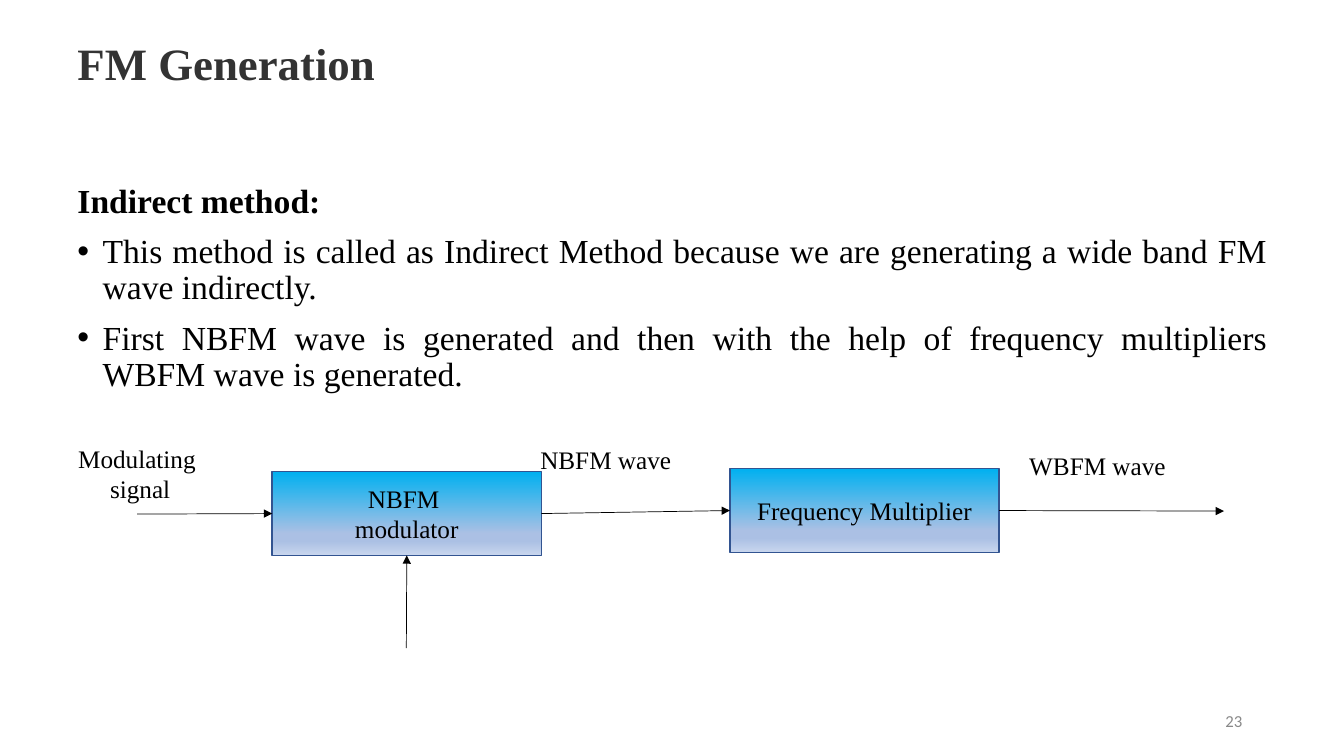
from pptx import Presentation
from pptx import util as u
from pptx.dml.color import RGBColor
from pptx.enum import shapes, text
from pptx.oxml import parse_xml
from pptx.oxml.ns import nsdecls, qn

SERIF = "Times New Roman"
STOPS = [(0, "00B0F0"), (74, "ABC0E4"), (83, "ABC0E4"), (100, "C7D5ED")]
LEFT, MID, RIGHT, JUST = (text.PP_ALIGN.LEFT, text.PP_ALIGN.CENTER,
                          text.PP_ALIGN.RIGHT, text.PP_ALIGN.JUSTIFY)


def color(code):
    return RGBColor.from_string(code)


def write(par, words, size=18, font=SERIF, ink="000000", bold=False,
          align=LEFT, lead=None, gap=0, bullet=False):
    if bullet:
        props = par._p.get_or_add_pPr()
        props.set("marL", str(u.Inches(0.25)))
        props.set("indent", str(u.Inches(-0.25)))
        for tag in ('buFont {} typeface="Arial"', 'buChar {} char="•"'):
            props.append(parse_xml(f"<a:{tag.format(nsdecls('a'))}/>"))
    par.alignment = align
    par.space_before = u.Pt(gap)
    if lead:
        par.line_spacing = lead
    run = par.add_run()
    run.text = words
    run.font.size = u.Pt(size)
    run.font.name = font
    run.font.bold = bold
    run.font.color.rgb = color(ink)


class Sketch:
    def __init__(self, slide, edge="325491", wire="000000"):
        self.items = slide.shapes
        self.edge = edge
        self.wire = wire

    def fill_text(self, frame, lines, **style):
        for i, line in enumerate(lines):
            par = frame.paragraphs[0] if i == 0 else frame.add_paragraph()
            write(par, line, **style)

    def text(self, x, y, w, h, lines=(), wrap=True, middle=False, **style):
        frame = self.items.add_textbox(*map(u.Inches, (x, y, w, h))).text_frame
        frame.word_wrap = wrap
        if not wrap:
            frame.auto_size = text.MSO_AUTO_SIZE.SHAPE_TO_FIT_TEXT
        if middle:
            frame.vertical_anchor = text.MSO_ANCHOR.MIDDLE
        self.fill_text(frame, lines, **style)
        return frame

    def block(self, x, y, lines):
        box = self.items.add_shape(shapes.MSO_SHAPE.RECTANGLE,
                                   *map(u.Inches, (x, y, 2.67, 0.83)))
        box.shadow.inherit = False
        box.fill.gradient()
        box.fill.gradient_angle = 270
        stops = box._element.spPr.find(qn("a:gradFill")).find(qn("a:gsLst"))
        for stop in list(stops):
            stops.remove(stop)
        for pos, code in STOPS:
            stops.append(parse_xml(
                f'<a:gs {nsdecls("a")} pos="{pos * 1000}"><a:srgbClr val="{code}"/></a:gs>'))
        box.line.color.rgb = color(self.edge)
        box.line.width = u.Pt(1)
        frame = box.text_frame
        frame.word_wrap = True
        frame.vertical_anchor = text.MSO_ANCHOR.MIDDLE
        self.fill_text(frame, lines, align=MID)
        return box

    def arrow(self, start, end, tail=None, head=None):
        line = self.items.add_connector(shapes.MSO_CONNECTOR.STRAIGHT,
                                        *map(u.Inches, start + end))
        if tail:
            line.begin_connect(*tail)
        if head:
            line.end_connect(*head)
        line.line.color.rgb = color(self.wire)
        line.line.width = u.Pt(0.5)
        line.line._get_or_add_ln().append(
            parse_xml(f'<a:tailEnd {nsdecls("a")} type="triangle"/>'))
        line._element.spPr.append(parse_xml(f'<a:effectLst {nsdecls("a")}/>'))


def main():
    deck = Presentation()
    deck.slide_width, deck.slide_height = u.Inches(13.33), u.Inches(7.5)
    page = Sketch(deck.slides.add_slide(deck.slide_layouts[6]))

    page.text(0.67, 0.4, 12, 0.5, ["FM Generation"], middle=True,
              size=32, ink="333333", bold=True, lead=0.9)
    body = page.text(0.67, 1.78, 12, 4.95, ["Indirect method:"],
                     size=24, bold=True, lead=0.9)
    for point in (
        "This method is called as Indirect Method because we are generating "
        "a wide band FM wave indirectly.",
        "First NBFM wave is generated and then with the help of frequency "
        "multipliers WBFM wave is generated.",
    ):
        write(body.add_paragraph(), point, size=24, align=JUST,
              lead=0.9, gap=10, bullet=True)
    page.text(9.42, 6.95, 3, 0.4, ["23"], middle=True, size=12,
              font="Calibri", ink="898989", align=RIGHT)

    mod = page.block(2.7, 4.68, ["NBFM ", "modulator"])
    mult = page.block(7.24, 4.65, ["Frequency Multiplier"])
    page.arrow((1.36, 5.1), (2.7, 5.1), head=(mod, 1))
    page.arrow((4.03, 6.43), (4.03, 5.51), head=(mod, 2))
    page.arrow((5.37, 5.1), (7.24, 5.07), tail=(mod, 3), head=(mult, 1))
    page.arrow((9.91, 5.07), (12.14, 5.07), tail=(mult, 3))

    page.text(0.67, 4.35, 1.44, 0.71, ["Modulating ", "signal"],
              wrap=False, align=MID)
    page.text(5.26, 4.36, 1.51, 0.4, ["NBFM wave"], wrap=False)
    page.text(10.11, 4.42, 1.57, 0.4, ["WBFM wave"], wrap=False)
    deck.save("out.pptx")


if __name__ == "__main__":
    main()
